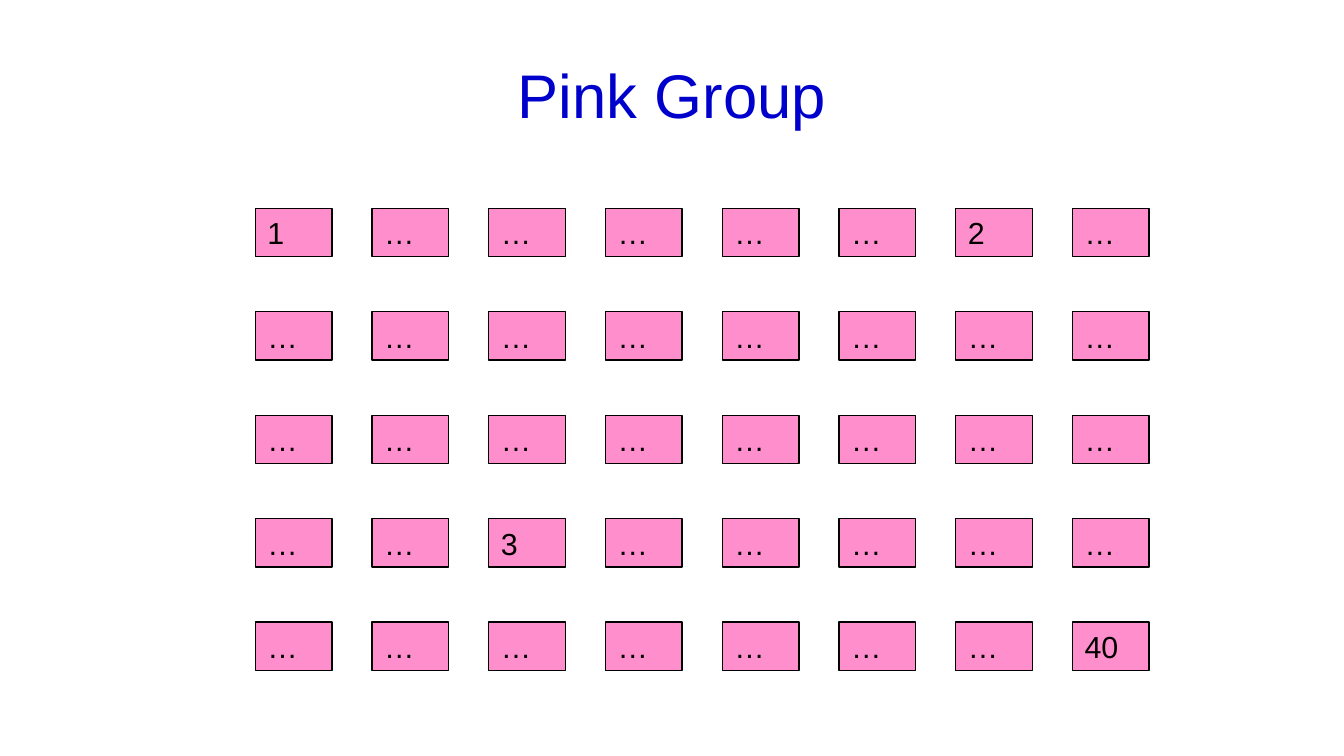
from typing import NamedTuple

from pptx import Presentation
from pptx.dml.color import RGBColor
from pptx.enum.shapes import MSO_SHAPE
from pptx.enum.text import MSO_ANCHOR, MSO_AUTO_SIZE, PP_ALIGN
from pptx.slide import Slide
from pptx.util import Inches, Pt

RECTANGLE = MSO_SHAPE.RECTANGLE
MIDDLE = MSO_ANCHOR.MIDDLE
GROW = MSO_AUTO_SIZE.SHAPE_TO_FIT_TEXT
LEFT, CENTER = PP_ALIGN.LEFT, PP_ALIGN.CENTER

PINK = RGBColor(0xFF, 0x8E, 0xCC)
BLUE = RGBColor(0x00, 0x00, 0xCC)
BLACK = RGBColor(0x00, 0x00, 0x00)
FONT = "Arial"

COLUMNS, ROWS = 8, 5
GRID_LEFT, LAST_COLUMN_LEFT = 1.9, 7.98
COLUMN_STEP = (LAST_COLUMN_LEFT - GRID_LEFT) / (COLUMNS - 1)
GRID_TOP, ROW_STEP = 1.55, 0.77
CARD_WIDTH, CARD_HEIGHT = 0.57, 0.36
NUMBERED_CARDS = {(0, 0): "1", (0, 6): "2", (3, 2): "3", (4, 7): "40"}


class Card(NamedTuple):
    row: int
    column: int
    label: str


def add_title(slide: Slide, text: str) -> None:
    title = slide.shapes.add_textbox(Inches(0.5), Inches(0.23), Inches(9), Inches(0.94))
    frame = title.text_frame
    frame.text = text
    frame.word_wrap = True
    frame.vertical_anchor = MIDDLE
    paragraph = frame.paragraphs[0]
    paragraph.alignment = CENTER
    font = paragraph.runs[0].font
    font.name, font.size = FONT, Pt(33)
    font.color.rgb = BLUE


def add_card(slide: Slide, card: Card) -> None:
    shape = slide.shapes.add_shape(
        RECTANGLE,
        Inches(GRID_LEFT + card.column * COLUMN_STEP),
        Inches(GRID_TOP + card.row * ROW_STEP),
        Inches(CARD_WIDTH),
        Inches(CARD_HEIGHT),
    )
    shape.shadow.inherit = False
    shape.fill.solid()
    shape.fill.fore_color.rgb = PINK
    shape.line.color.rgb = BLACK
    shape.line.width = Pt(0.75)

    frame = shape.text_frame
    frame.text = card.label
    frame.word_wrap = True
    frame.auto_size = GROW
    frame.vertical_anchor = MIDDLE
    frame.margin_left = frame.margin_right = Inches(0.09)
    frame.margin_top = frame.margin_bottom = Inches(0.04)
    paragraph = frame.paragraphs[0]
    paragraph.alignment = LEFT
    paragraph.space_after = Pt(5.4)
    font = paragraph.runs[0].font
    font.name, font.size = FONT, Pt(16.3)
    font.color.rgb = BLACK


def main() -> None:
    presentation = Presentation()
    presentation.slide_width = Inches(10)
    presentation.slide_height = Inches(10 * 9 / 16)
    slide = presentation.slides.add_slide(presentation.slide_layouts[6])

    add_title(slide, "Pink Group")
    for row in range(ROWS):
        for column in range(COLUMNS):
            label = NUMBERED_CARDS.get((row, column), "…")
            add_card(slide, Card(row, column, label))

    presentation.save("out.pptx")


if __name__ == "__main__":
    main()
